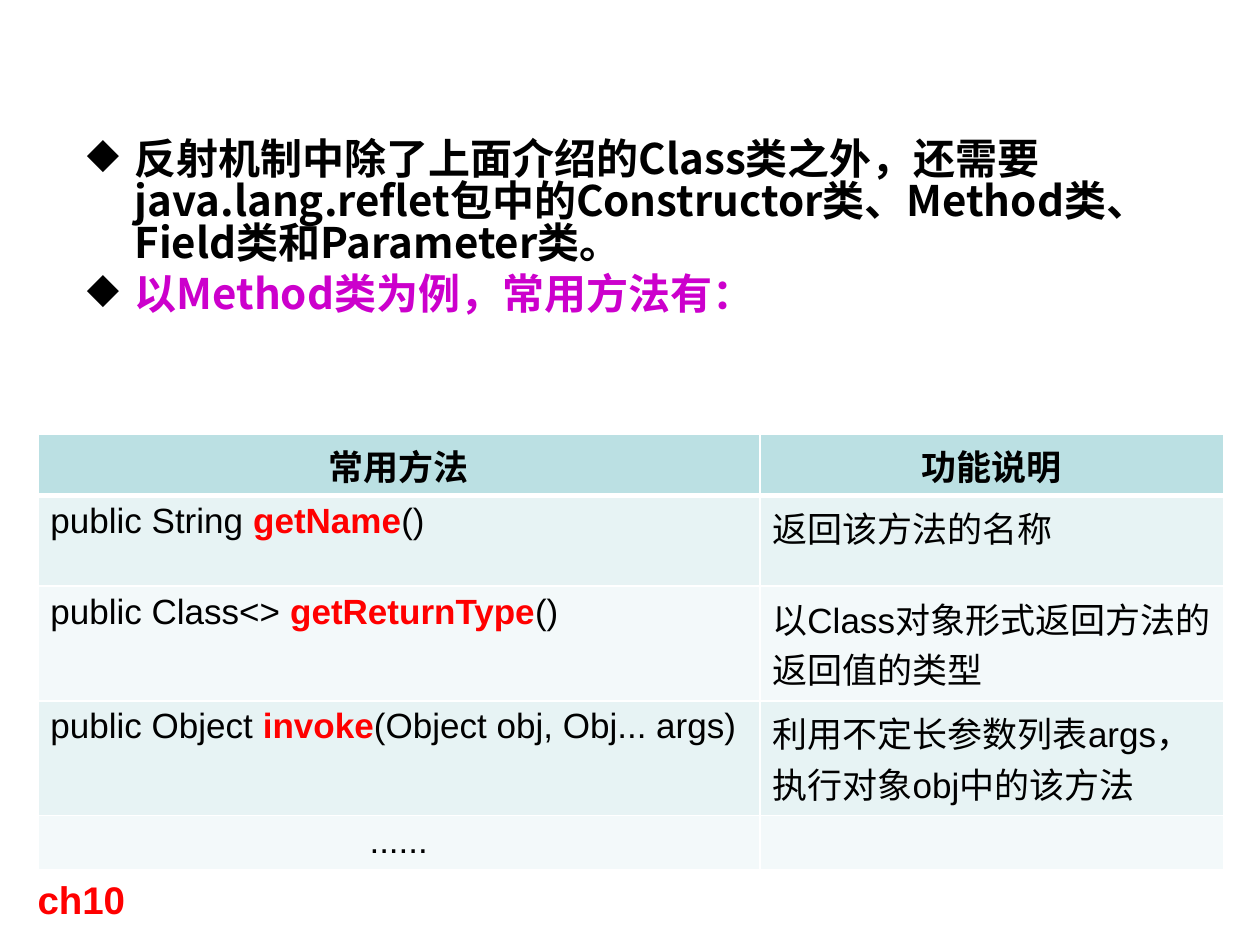
import pptx
import pptx.util
import pptx.dml.color
import pptx.enum.text
import pptx.oxml.ns
import lxml.etree

Pt = pptx.util.Pt
Inches = pptx.util.Inches
CENTER = pptx.enum.text.PP_ALIGN.CENTER
RED, BLACK, WHITE = "FF0000", "000000", "FFFFFF"


def color(code):
    return pptx.dml.color.RGBColor.from_string(code)


def node(parent, tag, **attrs):
    return lxml.etree.SubElement(parent, pptx.oxml.ns.qn(tag), attrs)


class Deck:
    """Holds the style and the current slide; lengths are shares of the slide."""
    sans, hei = "Arial", "Noto Sans CJK SC"

    def __init__(self, wide, high):
        self.prs = pptx.Presentation()
        self.prs.slide_width, self.prs.slide_height = Inches(wide), Inches(high)
        self.slide = self.prs.slides.add_slide(self.prs.slide_layouts[6])

    def place(self, x, y, w, h):
        wide, high = self.prs.slide_width, self.prs.slide_height
        return int(x * wide), int(y * high), int(w * wide), int(h * high)

    def style(self, font, size, code=None, bold=None, name=None):
        font.name, font.size, font.bold = name or self.sans, Pt(size), bold
        if code:
            font.color.rgb = color(code)

    def frame(self, *box):
        frame = self.slide.shapes.add_textbox(*self.place(*box)).text_frame
        frame.word_wrap = True
        return frame

    def label(self, text, size, code, *box):
        para = self.frame(*box).paragraphs[0]
        para.text = text
        self.style(para.font, size, code, True)

    def bullets(self, items, size, *box):
        frame = self.frame(*box)
        for i, (text, code) in enumerate(items):
            para = frame.add_paragraph() if i else frame.paragraphs[0]
            para.text = text
            para.line_spacing = 0.84
            if i:
                para.space_before = Pt(0.2 * size)
            props = para._p.get_or_add_pPr()
            props.set("marL", str(Inches(0.38)))
            props.set("indent", str(-Inches(0.38)))
            node(node(props, "a:buClr"), "a:srgbClr", val=BLACK)
            node(props, "a:buChar", char="◆")
            self.style(para.font, size, code, True, self.hei)

    def edge(self, cell, side, width):
        line = node(cell._tc.get_or_add_tcPr(), "a:ln" + side, w=str(Pt(width)))
        node(node(line, "a:solidFill"), "a:srgbClr", val=WHITE)

    def table(self, rows, cols, highs, fills, size, *box):
        shape = self.slide.shapes.add_table(len(rows), len(cols), *self.place(*box))
        grid = shape.table
        for col, share in zip(grid.columns, cols):
            col.width = int(share * self.prs.slide_width)
        for r, texts in enumerate(rows):
            grid.rows[r].height = Inches(highs[r])
            for c, parts in enumerate(texts):
                cell = grid.cell(r, c)
                # Edges come before the fill in the cell's properties
                for side in "LRTB":
                    thick = (r, side) in ((0, "B"), (1, "T"))
                    self.edge(cell, side, 3 if thick else 1)
                cell.fill.solid()
                cell.fill.fore_color.rgb = color(fills[r])
                self.fill(cell.text_frame.paragraphs[0], parts, size, r == 0)

    def fill(self, para, parts, size, head):
        """Write a cell: a plain string, or (before, method name, after)."""
        if head or parts == "......":
            para.alignment = CENTER
        if isinstance(parts, str):
            para.text = parts
            self.style(para.font, size, BLACK, head)
            return
        self.style(para.font, size)
        for i, text in enumerate(parts):
            run = para.add_run()
            run.text = text
            key = i == 1
            run.font.bold = key
            run.font.color.rgb = color(RED if key else BLACK)


def main():
    deck = Deck(10, 7.5)

    # Introduction
    deck.bullets([
        ("反射机制中除了上面介绍的Class类之外，还需要java.lang.reflet包中的"
         "Constructor类、Method类、Field类和Parameter类。", BLACK),
        ("以Method类为例，常用方法有：", "CC00CC"),
    ], 24, 0.059, 0.142, 0.882, 0.247)

    # Methods and what they do
    rows = [
        ("常用方法", "功能说明"),
        (("public String ", "getName", "()"), "返回该方法的名称"),
        (("public Class<> ", "getReturnType", "()"),
         "以Class对象形式返回方法的返回值的类型"),
        (("public Object ", "invoke", "(Object obj, Obj... args)"),
         "利用不定长参数列表args，执行对象obj中的该方法"),
        ("......", ""),
    ]
    bands = ["E7F3F4", "F3F9FA"]
    deck.table(rows, (0.573, 0.368), (0.49, 0.72, 0.91, 0.91, 0.41),
               ["BBE0E3"] + bands * 2, 20, 0.03, 0.459, 0.941, 0.459)

    # Chapter mark
    deck.label("ch10", 22, RED, 0.02, 0.92, 0.5, 0.063)

    deck.prs.save("out.pptx")


if __name__ == "__main__":
    main()
